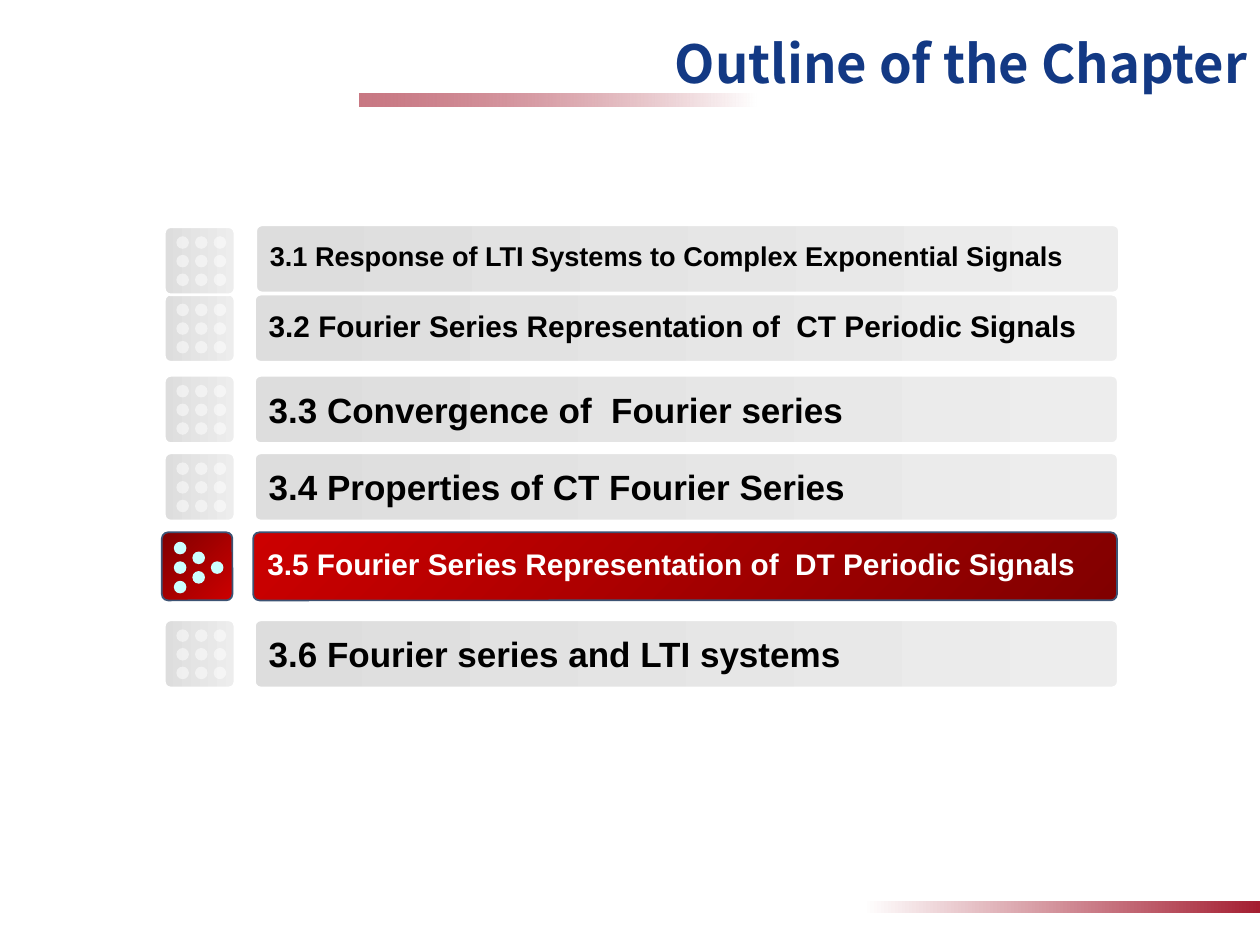
from dataclasses import dataclass
from typing import NamedTuple

from lxml import etree
from pptx import Presentation
from pptx import util as u
from pptx.dml.color import RGBColor
from pptx.enum import shapes, text
from pptx.oxml.ns import qn

# The page is a grid of 100 columns and 75 rows with square cells.
COLUMNS, ROWS = 100, 75
CELL = u.Inches(0.1)


@dataclass(frozen=True)
class Theme:
    title_font: str = "Noto Sans CJK SC"
    body_font: str = "Arial"
    title_size: float = 30
    large: float = 20
    medium: float = 17
    small: float = 15.5
    title: str = "133984"
    rule: str = "A41E31"
    white: str = "FFFFFF"
    ink: str = "000000"
    grey: tuple = ("DDDDDD", "EDEDED")
    red: tuple = ("CC0000", "810000")
    active_line: str = "3C5374"
    active_dot: str = "CCFFFF"


THEME = Theme()


class Box(NamedTuple):
    left: float
    top: float
    width: float
    height: float

    def lengths(self):
        return [round(side * CELL) for side in self]


class Topic(NamedTuple):
    wording: str
    top: float
    size: float
    spacing: float = 1.0
    bar_left: float = 20.2
    badge_drop: float = 0
    active: bool = False


TOPICS = [
    Topic("3.1 Response of LTI Systems to Complex Exponential Signals",
          17.85, THEME.small, 0.8, bar_left=20.3, badge_drop=0.15),
    Topic("3.2 Fourier Series Representation of  CT Periodic Signals",
          23.35, THEME.medium, 0.9),
    Topic("3.3 Convergence of  Fourier series", 29.8, THEME.large),
    Topic("3.4 Properties of CT Fourier Series", 35.95, THEME.large),
    Topic("3.5 Fourier Series Representation of  DT Periodic Signals",
          42.25, THEME.medium, 0.9, bar_left=20.1, active=True),
    Topic("3.6 Fourier series and LTI systems", 49.2, THEME.large),
]

# Dot positions as (column, row) steps inside a badge
SQUARE_DOTS = [(column, row) for row in range(3) for column in range(3)]
ARROW_DOTS = [(column, column / 2 + step)
              for column in range(3) for step in range(3 - column)]


def set_alpha(color_element, percent):
    alpha = etree.SubElement(color_element, qn("a:alpha"))
    alpha.set("val", str(percent * 1000))


def add_shape(parent, kind, box):
    shape = parent.shapes.add_shape(kind, *box.lengths())
    shape.shadow.inherit = False
    shape.line.fill.background()
    return shape


def fill_gradient(shape, colors, clockwise=0):
    shape.fill.gradient()
    shape.fill.gradient_angle = (360 - clockwise) % 360
    for stop, color in zip(shape.fill.gradient_stops, colors):
        stop.color.rgb = RGBColor.from_string(color)


def write(frame, wording, *, font, size, color, align=text.PP_ALIGN.LEFT,
          anchor=text.MSO_ANCHOR.MIDDLE, spacing=1.0):
    frame.word_wrap = True
    frame.auto_size = text.MSO_AUTO_SIZE.NONE
    frame.vertical_anchor = anchor
    frame.margin_left = frame.margin_right = u.Inches(0.1)
    frame.margin_top = frame.margin_bottom = u.Inches(0.05)
    para = frame.paragraphs[0]
    para.alignment = align
    para.line_spacing = spacing
    span = para.add_run()
    span.text = wording
    span.font.name = font
    span.font.size = u.Pt(size)
    span.font.bold = True
    span.font.color.rgb = RGBColor.from_string(color)


def add_title(page, box):
    title = page.shapes.title
    title.left, title.top, title.width, title.height = box.lengths()
    write(title.text_frame, "Outline of the Chapter", font=THEME.title_font,
          size=THEME.title_size, color=THEME.title,
          align=text.PP_ALIGN.RIGHT, anchor=text.MSO_ANCHOR.TOP)


def add_rule(page, box, clockwise=0, opacity=100):
    rule = add_shape(page, shapes.MSO_SHAPE.RECTANGLE, box)
    fill_gradient(rule, (THEME.white, THEME.rule), clockwise)
    if opacity < 100:
        colors = list(rule.element.spPr.iter(qn("a:srgbClr")))
        set_alpha(colors[-1], opacity)


def add_panel(page, box, active, colors):
    panel = add_shape(page, shapes.MSO_SHAPE.ROUNDED_RECTANGLE, box)
    panel.adjustments[0] = 0.09
    fill_gradient(panel, colors, 45 if active else 0)
    line = THEME.active_line if active else THEME.white
    panel.line.color.rgb = RGBColor.from_string(line)
    panel.line.width = u.Pt(1 if active else 1.5)
    return panel


def add_badge(page, box, active):
    colors = THEME.red[::-1] if active else THEME.grey
    add_panel(page, box, active, colors)
    # Dots
    group = page.shapes.add_group_shape()
    step_x, step_y = (1.47, 1.55) if active else (1.48, 1.48)
    for column, row in ARROW_DOTS if active else SQUARE_DOTS:
        place = Box(box.left + 0.95 + column * step_x,
                    box.top + 0.75 + row * step_y, 1, 1)
        dot = add_shape(group, shapes.MSO_SHAPE.OVAL, place)
        dot.fill.solid()
        color = THEME.active_dot if active else THEME.white
        dot.fill.fore_color.rgb = RGBColor.from_string(color)
        if not active:
            set_alpha(dot.element.spPr.find(".//" + qn("a:srgbClr")), 50)


def add_topic(page, box, topic):
    # Badge at the left end, bar up to the right end
    add_badge(page, Box(box.left, box.top + topic.badge_drop,
                        5.6, box.height), topic.active)
    bar = add_panel(page, Box(topic.bar_left, box.top, 68.55, box.height),
                    topic.active, THEME.red if topic.active else THEME.grey)
    write(bar.text_frame, topic.wording, font=THEME.body_font,
          size=topic.size, spacing=topic.spacing,
          color=THEME.white if topic.active else THEME.ink)


def add_outline(page, box):
    for topic in reversed(TOPICS):
        shift = -0.2 if topic.active else 0
        add_topic(page, Box(box.left + shift, topic.top, box.width, 5.4), topic)


def main():
    deck = Presentation()
    deck.slide_width, deck.slide_height = COLUMNS * CELL, ROWS * CELL
    page = deck.slides.add_slide(deck.slide_layouts[5])
    # Fading rules under the title and at the foot
    add_rule(page, Box(28.5, 7.45, 31.5, 1), clockwise=180, opacity=60)
    add_rule(page, Box(68.5, 71.5, 31.5, 1))
    add_title(page, Box(0, 2, COLUMNS, 7.5))
    add_outline(page, Box(13.05, 17.85, 75.75, 36.75))
    deck.save("out.pptx")


if __name__ == "__main__":
    main()
